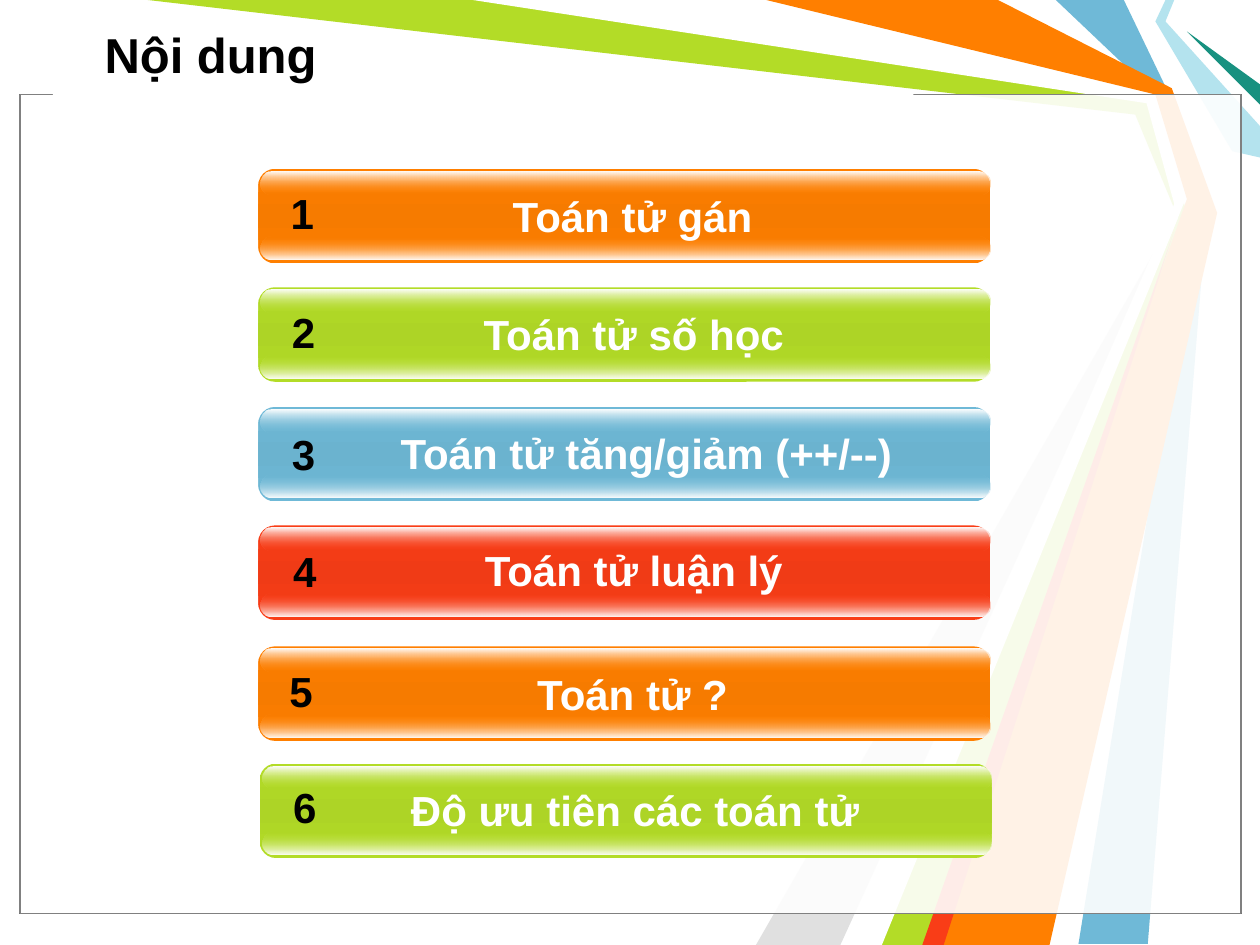
from dataclasses import dataclass

import pptx
import pptx.dml.color
import pptx.enum.shapes
import pptx.enum.text
import pptx.oxml
import pptx.oxml.ns
import pptx.util

PX = 9144
ROUND_RECT = pptx.enum.shapes.MSO_SHAPE.ROUNDED_RECTANGLE
RECT = pptx.enum.shapes.MSO_SHAPE.RECTANGLE
ALIGN = pptx.enum.text.PP_ALIGN


@dataclass(frozen=True)
class Theme:
    font: str = "Arial"
    title_size: int = 28
    label_size: int = 24
    black: str = "000000"
    white: str = "FFFFFF"
    grey: str = "808080"
    silver: str = "E0E0E0"
    blue: str = "6FB9D7"
    blue_mid: str = "6BB3CF"
    green: str = "B3DC27"
    green_mid: str = "ADD426"
    orange: str = "FF7F00"
    orange_mid: str = "F67B00"
    red: str = "F93D17"
    red_mid: str = "F03B16"
    aqua: str = "B4E3EE"
    teal: str = "189180"


class Deck:
    def __init__(self, theme):
        self.theme = theme
        self.presentation = pptx.Presentation()
        self.presentation.slide_width = 1000 * PX
        self.presentation.slide_height = 750 * PX
        self.slide = self.presentation.slides.add_slide(self.presentation.slide_layouts[5])

    def place(self, shape, left, top, width, height):
        shape.left, shape.top = left * PX, top * PX
        shape.width, shape.height = width * PX, height * PX

    def paint(self, shape, colour):
        shape.shadow.inherit = False
        shape.fill.solid()
        shape.fill.fore_color.rgb = pptx.dml.color.RGBColor.from_string(colour)
        shape.line.fill.background()

    def letter(self, frame, text, size, colour, align):
        frame.text = text
        frame.word_wrap = True
        paragraph = frame.paragraphs[0]
        paragraph.alignment = align
        font = paragraph.runs[0].font
        font.name, font.size, font.bold = self.theme.font, pptx.util.Pt(size), True
        font.color.rgb = pptx.dml.color.RGBColor.from_string(colour)

    def title(self, text, left, top, width, height):
        heading = self.slide.shapes.title
        self.place(heading, left, top, width, height)
        heading.text_frame.vertical_anchor = pptx.enum.text.MSO_ANCHOR.MIDDLE
        self.letter(heading.text_frame, text, self.theme.title_size, self.theme.black, ALIGN.LEFT)
        self.slide.shapes.element.append(heading.element)

    def ray(self, colour, points):
        builder = self.slide.shapes.build_freeform(*points[0], scale=PX)
        builder.add_line_segments(points[1:], close=True)
        self.paint(builder.convert_to_shape(), colour)

    def panel(self, left, top, width, height, outline=None, opacity=100):
        panel = self.slide.shapes.add_shape(RECT, left * PX, top * PX, width * PX, height * PX)
        self.paint(panel, self.theme.white)
        if opacity < 100:
            tint = panel.element.spPr.find(".//" + pptx.oxml.ns.qn("a:srgbClr"))
            tint.append(pptx.oxml.parse_xml(
                f'<a:alpha {pptx.oxml.ns.nsdecls("a")} val="{opacity * 1000}"/>'))
        if outline:
            panel.line.color.rgb = pptx.dml.color.RGBColor.from_string(outline)
            panel.line.width = pptx.util.Pt(0.75)

    def pill(self, group, left, top, width, height, rounding, stops):
        pill = group.shapes.add_shape(ROUND_RECT, left * PX, top * PX, width * PX, height * PX)
        pill.adjustments[0] = rounding
        self.paint(pill, self.theme.white)
        marks = "".join(
            f'<a:gs pos="{at * 1000}"><a:srgbClr val="{colour}">'
            f'<a:alpha val="{opacity * 1000}"/></a:srgbClr></a:gs>'
            for at, colour, opacity in stops)
        gradient = pptx.oxml.parse_xml(
            f'<a:gradFill {pptx.oxml.ns.nsdecls("a")} rotWithShape="1"><a:gsLst>{marks}</a:gsLst>'
            '<a:lin ang="5400000" scaled="1"/></a:gradFill>')
        solid = pill.element.spPr.find(pptx.oxml.ns.qn("a:solidFill"))
        solid.getparent().replace(solid, gradient)

    def bar(self, left, top, colour, middle):
        white = self.theme.white
        group = self.slide.shapes.add_group_shape()
        self.pill(group, left, top, 581, 75, 0.175,
                  [(0, colour, 100), (50, middle, 100), (100, colour, 100)])
        self.pill(group, left + 2, top + 54, 579, 18, 0.5, [(0, colour, 0), (100, white, 100)])
        self.pill(group, left + 2, top + 2, 579, 18, 0.5, [(0, white, 100), (100, colour, 0)])

    def caption(self, text, left, top, width, colour):
        box = self.slide.shapes.add_textbox(left * PX, top * PX, width * PX, 50 * PX)
        self.letter(box.text_frame, text, self.theme.label_size, colour, ALIGN.CENTER)
        box.text_frame.auto_size = pptx.enum.text.MSO_AUTO_SIZE.SHAPE_TO_FIT_TEXT


def main():
    theme = Theme()
    deck = Deck(theme)

    rays = [
        (theme.blue, [(892, 0), (929, 77), (958, 167), (911, 749), (856, 749), (950, 167),
                      (917, 75), (838, 0)]),
        (theme.green, [(117, 0), (383, 0), (914, 78), (942, 169), (742, 750), (692, 750),
                       (935, 173), (901, 91)]),
        (theme.silver, [(667, 750), (927, 181), (600, 750)]),
        (theme.white, [(375, 0), (910, 82), (932, 162), (675, 750), (700, 750), (941, 158),
                       (917, 75), (600, 0)]),
        (theme.aqua, [(925, 0), (917, 17), (978, 120), (1000, 125), (1000, 100), (925, 17),
                      (932, 0)]),
        (theme.teal, [(1000, 83), (942, 25), (1000, 67)]),
        (theme.orange, [(608, 0), (792, 0), (930, 70), (966, 169), (833, 750), (733, 750),
                        (942, 158), (917, 75)]),
        (theme.red, [(732, 750), (932, 183), (749, 750)]),
    ]
    for colour, points in rays:
        deck.ray(colour, points)

    for outline in (theme.black, theme.grey):
        deck.panel(16, 75, 969, 650, outline, opacity=69)
    deck.panel(42, 74, 683, 17)
    deck.title("Nội dung", 73, 8, 911, 69)

    orange = (theme.orange, theme.orange_mid)
    green = (theme.green, theme.green_mid)
    blue = (theme.blue, theme.blue_mid)
    red = (theme.red, theme.red_mid)
    topics = [
        ("Toán tử gán", orange, (205, 134), (256, 146), (219, 144)),
        ("Toán tử số học", green, (205, 228), (257, 240), (220, 238)),
        ("Toán tử tăng/giảm (++/--)", blue, (205, 323), (267, 334), (220, 335)),
        ("Toán tử luận lý", red, (205, 417), (257, 427), (221, 428)),
        ("Toán tử ?", orange, (205, 513), (256, 526), (218, 523)),
        ("Độ ưu tiên các toán tử", green, (206, 606), (258, 618), (221, 615)),
    ]
    for number, (topic, colours, bar_at, topic_at, number_at) in enumerate(topics, 1):
        deck.bar(*bar_at, *colours)
        deck.caption(topic, *topic_at, 492, theme.white)
        deck.caption(str(number), *number_at, 42, theme.black)

    deck.presentation.save("out.pptx")


if __name__ == "__main__":
    main()
